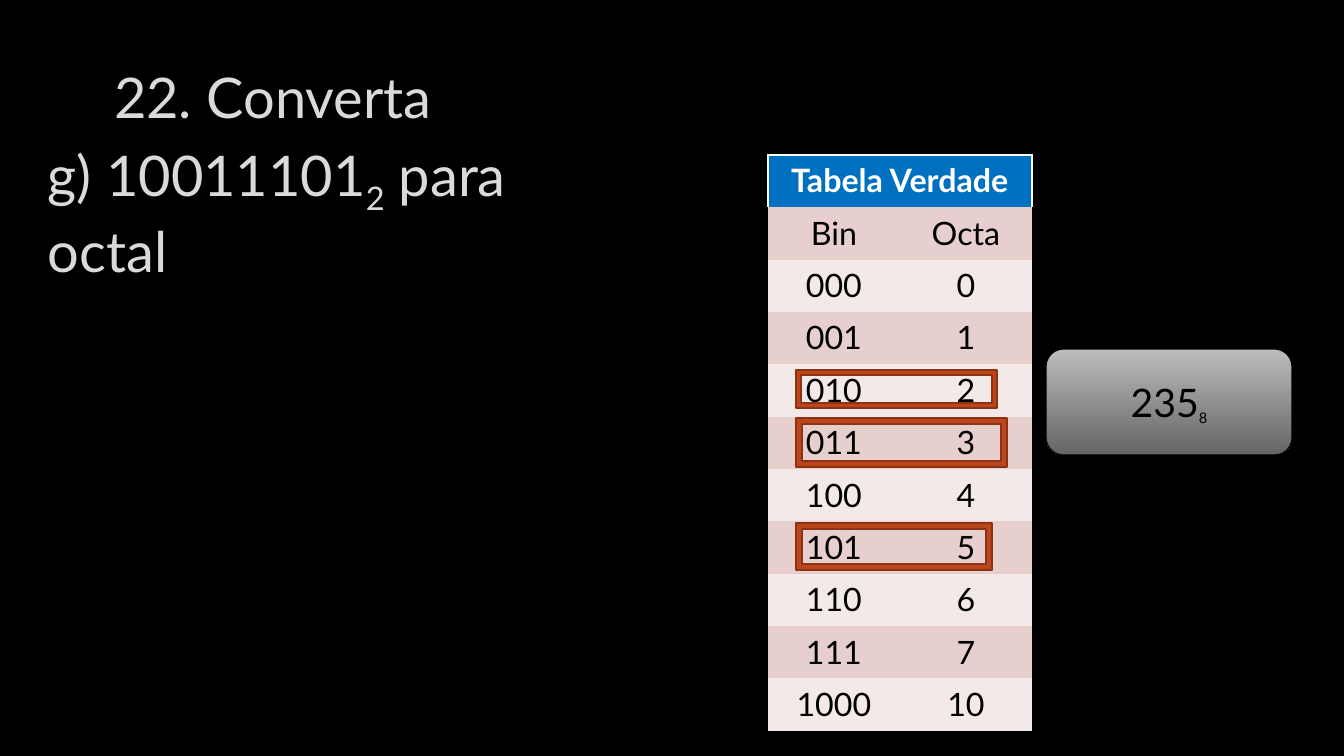
import pptx
import pptx.dml.color
import pptx.enum.dml
import pptx.enum.shapes
import pptx.enum.text
import pptx.oxml.ns
import pptx.util
from lxml import etree

TITLE = "22. Converta"
QUESTION = [("g) 10011101", False), ("2", True), (" para octal", False)]
ANSWER = [("235", False), ("8", True)]
TABLE_TITLE = "Tabela Verdade"
TABLE_ROWS = [
    ("Bin", "Octa"), ("000", "0"), ("001", "1"), ("010", "2"), ("011", "3"),
    ("100", "4"), ("101", "5"), ("110", "6"), ("111", "7"), ("1000", "10"),
]

# Left, top, width and height in px
TITLE_AREA = (104, 14, 1141, 164)
QUESTION_AREA = (38, 130, 526, 164)
TABLE_AREA = (768, 155, 264, 576)
ANSWER_AREA = (1046, 349, 246, 106)
HIGHLIGHT_AREAS = [(796, 370, 201, 38), (796, 523, 196, 47), (796, 418, 211, 49)]

COLORS = {
    "background": "000000", "heading": "DADADA", "outline": "404040",
    "header": "0070C0", "white": "FFFFFF", "black": "000000",
    "band_dark": "E7CFCD", "band_light": "F3E9E8",
    "grey_top": "BCBCBC", "grey_bottom": "656565",
    "frame": "BC451B", "frame_line": "8B3314",
}
FONT = "Lato"
PX = 914400 / 100.8
NO_STYLE = "{2D5ABB26-0587-4C30-8999-92F81FD0307C}"
CENTER = pptx.enum.text.PP_ALIGN.CENTER
MIDDLE = pptx.enum.text.MSO_ANCHOR.MIDDLE
SHAPES = pptx.enum.shapes.MSO_SHAPE


def emu(area):
    return [round(length * PX) for length in area]


def rgb(name):
    return pptx.dml.color.RGBColor.from_string(COLORS[name])


def add_xml(parent, tag, **attributes):
    element = etree.SubElement(parent, pptx.oxml.ns.qn(tag))
    for name, value in attributes.items():
        element.set(name, str(value))
    return element


def set_font(paragraph, size, color, bold=False):
    font = paragraph.font
    font.name, font.size, font.bold = FONT, pptx.util.Pt(size), bold
    font.color.rgb = rgb(color)


def write_spans(paragraph, spans):
    """Add runs, lowering those marked as subscript."""
    for text, subscript in spans:
        span = paragraph.add_run()
        span.text = text
        if subscript:
            span.font._element.set("baseline", "-25000")


def outline_text(paragraph):
    for span in paragraph.runs:
        properties = span.font._element
        line = add_xml(properties, "a:ln", w=9525)
        color = add_xml(add_xml(line, "a:solidFill"), "a:srgbClr", val=COLORS["outline"])
        add_xml(color, "a:alpha", val=10000)
        properties.insert(0, line)


def add_heading(box, spans):
    frame = box.text_frame
    frame.word_wrap = True
    frame.auto_size = pptx.enum.text.MSO_AUTO_SIZE.NONE
    frame.vertical_anchor = MIDDLE
    para = frame.paragraphs[0]
    para.alignment = pptx.enum.text.PP_ALIGN.LEFT
    set_font(para, 40, "heading")
    write_spans(para, spans)
    outline_text(para)


def fill_cell(cell, text, fill, color, bold=False):
    cell.margin_left = cell.margin_right = pptx.util.Inches(0.13)
    cell.margin_top = cell.margin_bottom = pptx.util.Inches(0.06)
    cell.fill.solid()
    cell.fill.fore_color.rgb = rgb(fill)
    para = cell.text_frame.paragraphs[0]
    para.alignment = CENTER
    set_font(para, 23, color, bold)
    if text:
        para.add_run().text = text


def add_truth_table(page):
    left, top, width, height = emu(TABLE_AREA)
    row_count = len(TABLE_ROWS) + 1
    table = page.shapes.add_table(row_count, 2, left, top, width, height).table
    table._tbl.tblPr.find(pptx.oxml.ns.qn("a:tableStyleId")).text = NO_STYLE
    for row in table.rows:
        row.height = height // row_count

    table.cell(0, 0).merge(table.cell(0, 1))
    for column, text in enumerate((TABLE_TITLE, "")):
        cell = table.cell(0, column)
        properties = cell._tc.get_or_add_tcPr()
        for side in ("a:lnL", "a:lnR", "a:lnT"):
            line = add_xml(properties, side, w=12700)
            add_xml(add_xml(line, "a:solidFill"), "a:srgbClr", val=COLORS["white"])
        fill_cell(cell, text, "header", "white", True)

    for index, values in enumerate(TABLE_ROWS):
        band = "band_light" if index % 2 else "band_dark"
        for column, value in enumerate(values):
            fill_cell(table.cell(index + 1, column), value, band, "black")


def add_preset(page, preset, area, line_color, line_width):
    shape = page.shapes.add_shape(preset, *emu(area))
    shape.shadow.inherit = False
    shape.line.color.rgb = rgb(line_color)
    shape.line.width = pptx.util.Pt(line_width)
    return shape


def add_answer(page):
    answer = add_preset(page, SHAPES.ROUNDED_RECTANGLE, ANSWER_AREA, "black", 0.75)
    answer.fill.gradient()
    answer.fill.gradient_angle = 270
    for stop, position, color in zip(answer.fill.gradient_stops, (0, 1), ("grey_top", "grey_bottom")):
        stop.position = position
        stop.color.rgb = rgb(color)
    answer.text_frame.vertical_anchor = MIDDLE
    para = answer.text_frame.paragraphs[0]
    para.alignment = CENTER
    set_font(para, 28, "black")
    write_spans(para, ANSWER)
    para.runs[1].font.size = pptx.util.Pt(18)


def main():
    deck = pptx.Presentation()
    deck.slide_width, deck.slide_height = emu((1344, 756))
    page = deck.slides.add_slide(deck.slide_layouts[5])
    page.background.fill.solid()
    page.background.fill.fore_color.rgb = rgb("background")

    title = page.shapes.title
    title.left, title.top, title.width, title.height = emu(TITLE_AREA)
    add_heading(title, [(TITLE, False)])
    add_heading(page.shapes.add_textbox(*emu(QUESTION_AREA)), QUESTION)

    add_truth_table(page)
    add_answer(page)
    for area in HIGHLIGHT_AREAS:
        highlight = add_preset(page, SHAPES.FRAME, area, "frame_line", 1.25)
        highlight.fill.solid()
        highlight.fill.fore_color.rgb = rgb("frame")
    deck.save("out.pptx")


if __name__ == "__main__":
    main()
